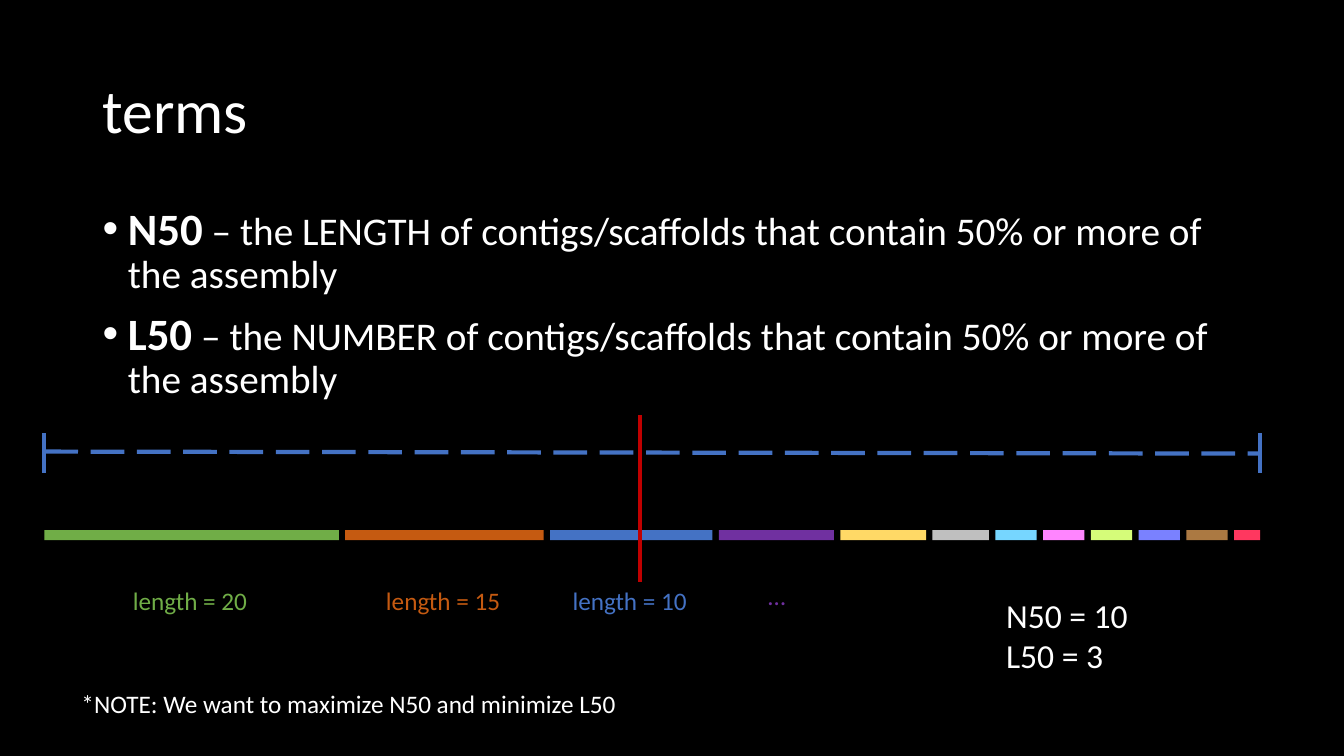
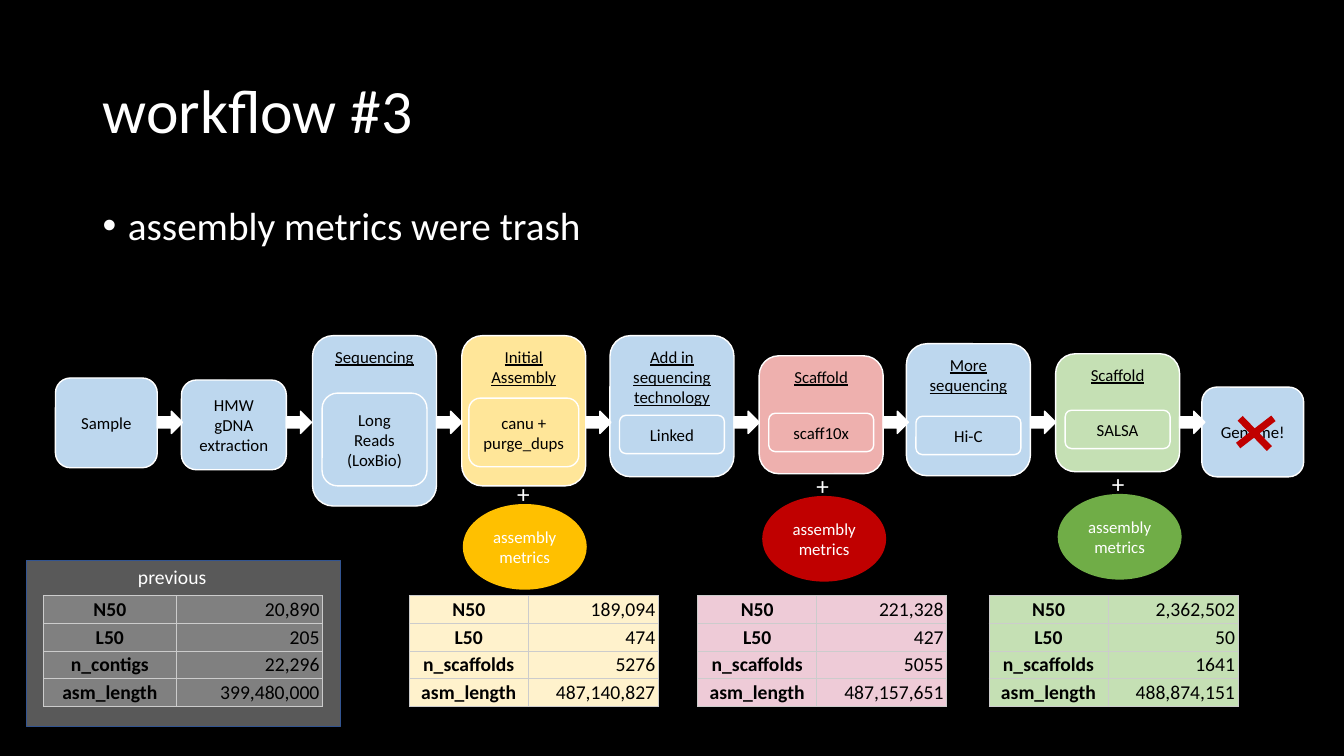
from lxml import etree
from pptx import Presentation
from pptx import util as u
from pptx.dml import color
from pptx.enum import dml, shapes, text
from pptx.oxml import ns

FONT = "Calibri"
BLACK, WHITE, BLUE, RED, GREEN = "000000", "FFFFFF", "4472C4", "C00000", "70AD47"
SKY, LEAF = "BDD7EE", "C5E0B4"
ALIGN, ANCHOR, KIND = text.PP_ALIGN, text.MSO_ANCHOR, shapes.MSO_SHAPE

# Slide 1: each body paragraph is a list of (text, size, bold)
TERMS = [
    [("N50", 32, True),
     (" – the LENGTH of contigs/scaffolds that contain 50% or more of the assembly", 28, False)],
    [("L50", 32, True),
     (" – the NUMBER of contigs/scaffolds that contain 50% or more of the assembly", 28, False)],
]
CONTIGS = [  # width, colour
    (2.92, GREEN), (1.97, "C55A11"), (1.61, BLUE), (1.14, "7030A0"),
    (0.85, "FFD966"), (0.56, "BFBFBF"), (0.41, "76D6FF"), (0.41, "FF85FF"),
    (0.41, "D5FC79"), (0.41, "7A81FF"), (0.41, "AB7942"), (0.26, "FF375F"),
]
SPAN_LEFT, SPAN_RIGHT = 0.44, 12.5
RULERS = [  # start, end, colour, dashed
    ((SPAN_LEFT, 4.48), (SPAN_RIGHT, 4.5), BLUE, True),
    ((SPAN_LEFT, 4.3), (SPAN_LEFT, 4.69), BLUE, False),
    ((SPAN_RIGHT, 4.3), (SPAN_RIGHT, 4.69), BLUE, False),
    ((6.35, 4.12), (6.35, 5.77), RED, False),
]
LABELS = [  # place, text, size, colour
    ((1.22, 5.76, 1.35, 0.4), "length = 20", 18, GREEN),
    ((3.73, 5.76, 1.35, 0.4), "length = 15", 18, "C55A11"),
    ((5.58, 5.76, 1.35, 0.4), "length = 10", 18, BLUE),
    ((7.52, 5.71, 0.38, 0.4), "…", 18, "7030A0"),
    ((9.88, 5.85, 1.42, 0.91), "N50 = 10\nL50 = 3", 24, WHITE),
    ((0.71, 6.78, 5.56, 0.4), "*NOTE: We want to maximize N50 and minimize L50", 18, WHITE),
]

# Slide 2: place, fill, text, inner box (text, top, width, height)
STEPS = [
    ((0.55, 3.75, 1.01, 0.89), SKY, "Sample", None),
    ((1.8, 3.77, 1.04, 0.89), SKY, "HMW gDNA extraction", None),
    ((3.1, 3.33, 1.23, 1.69), SKY, "Sequencing", ("Long Reads\n(LoxBio)", 3.9, 1.04, 0.92)),
    ((4.58, 3.33, 1.23, 1.49), "FFE699", "Initial Assembly",
     ("canu + purge_dups", 3.95, 1.09, 0.68)),
    ((6.05, 3.33, 1.23, 1.4), SKY, "Add in sequencing technology", ("Linked", 4.12, 1.04, 0.38)),
    ((7.53, 3.53, 1.23, 1.17), "EEB0AE", "Scaffold", ("scaff10x", 4.1, 1.04, 0.38)),
    ((8.99, 3.41, 1.23, 1.31), SKY, "More sequencing", ("Hi-C", 4.13, 1.04, 0.38)),
    ((10.47, 3.51, 1.23, 1.17), LEAF, "Scaffold", ("SALSA", 4.07, 1.04, 0.38)),
    ((11.92, 3.84, 1.01, 0.89), SKY, "Genome!", None),
]
CROSS = [((12.3, 4.15), (12.59, 4.45)), ((12.28, 4.42), (12.63, 4.15))]
METRICS = [(4.59, 5, "FFC000"), (7.56, 4.92, RED), (10.49, 4.9, GREEN)]  # left, top, fill
TABLES = [  # left, column widths, fill, third row name, values
    (0.43, (1.32, 1.45), "808080", "n_contigs", ("20,890", "205", "22,296", "399,480,000")),
    (4.06, (1.18, 1.29), "FFF2CC", "n_scaffolds", ("189,094", "474", "5276", "487,140,827")),
    (6.92, (1.18, 1.29), "EECBD7", "n_scaffolds", ("221,328", "427", "5055", "487,157,651")),
    (9.81, (1.18, 1.29), LEAF, "n_scaffolds", ("2,362,502", "50", "1641", "488,874,151")),
]


def rgb(value):
    return color.RGBColor.from_string(value)


def inches(values):
    return [u.Inches(value) for value in values]


def style(font, size, tint, bold=False, underline=False):
    font.name, font.size, font.bold = FONT, u.Pt(size), bold
    font.underline = underline
    font.color.rgb = rgb(tint)


def write(frame, words, size, tint, align=ALIGN.LEFT, bold=False, underline=False):
    frame.text = words
    for para in frame.paragraphs:
        para.alignment = align
        for span in para.runs:
            style(span.font, size, tint, bold, underline)


def add_label(page, place, words, size, tint):
    box = page.shapes.add_textbox(*inches(place))
    box.text_frame.word_wrap = False
    write(box.text_frame, words, size, tint)


def add_block(page, kind, place, fill, outline=None):
    block = page.shapes.add_shape(kind, *inches(place))
    block.shadow.inherit = False
    block.fill.solid()
    block.fill.fore_color.rgb = rgb(fill)
    if outline:
        block.line.color.rgb = rgb(outline)
        block.line.width = u.Pt(1)
    else:
        block.line.fill.background()
    return block


def add_text_block(page, kind, place, fill, words, tint=BLACK, outline=WHITE, heading=False):
    frame = add_block(page, kind, place, fill, outline).text_frame
    frame.word_wrap = True
    frame.vertical_anchor = ANCHOR.TOP if heading else ANCHOR.MIDDLE
    write(frame, words, 12, tint, ALIGN.CENTER, underline=heading)


def add_line(page, start, end, tint, width, dashed=False):
    line = page.shapes.add_connector(shapes.MSO_CONNECTOR.STRAIGHT, *inches(start + end))
    line.line.color.rgb = rgb(tint)
    line.line.width = u.Pt(width)
    if dashed:
        line.line.dash_style = dml.MSO_LINE.LONG_DASH
    etree.SubElement(line._element.spPr, ns.qn("a:effectLst"))


def add_page(deck, title, body):
    """Add a page with the shared title and bulleted body."""
    page = deck.slides.add_slide(deck.slide_layouts[6])
    frame = page.shapes.add_textbox(*inches((0.92, 0.4, 11.5, 1.45))).text_frame
    frame.word_wrap = True
    frame.vertical_anchor = ANCHOR.MIDDLE
    write(frame, title, 44, WHITE)
    frame.paragraphs[0].line_spacing = 0.9

    frame = page.shapes.add_textbox(*inches((0.92, 2, 11.5, 4.76))).text_frame
    frame.word_wrap = True
    for index, parts in enumerate(body):
        para = frame.add_paragraph() if index else frame.paragraphs[0]
        para.line_spacing = 0.9
        para.space_before = u.Pt(10 if index else 0)
        props = para._p.get_or_add_pPr()
        props.set("marL", str(u.Inches(0.25)))
        props.set("indent", str(-u.Inches(0.25)))
        etree.SubElement(props, ns.qn("a:buFont"), typeface="Arial")
        etree.SubElement(props, ns.qn("a:buChar"), char="•")
        for words, size, bold in parts:
            span = para.add_run()
            span.text = words
            style(span.font, size, WHITE, bold)
    return page


def add_borders(cell):
    props = cell._tc.get_or_add_tcPr()
    for index, side in enumerate(("lnL", "lnR", "lnT", "lnB")):
        edge = etree.Element(ns.qn("a:" + side), w=str(u.Pt(0.75)))
        fill = etree.SubElement(edge, ns.qn("a:solidFill"))
        etree.SubElement(fill, ns.qn("a:srgbClr"), val="CCCCCC")
        props.insert(index, edge)


def add_metrics_table(page, left, widths, fill, third_name, values):
    names = ("N50", "L50", third_name, "asm_length")
    place = inches((left, 5.91, sum(widths), 1.1))
    table = page.shapes.add_table(len(names), 2, *place).table
    table.first_row = table.horz_banding = False
    for column, width in zip(table.columns, widths):
        column.width = u.Inches(width)
    for row, pair in enumerate(zip(names, values)):
        for col, words in enumerate(pair):
            cell = table.cell(row, col)
            cell.fill.solid()
            cell.fill.fore_color.rgb = rgb(fill)
            cell.margin_left = cell.margin_right = u.Inches(0.03)
            cell.margin_top = cell.margin_bottom = u.Inches(0.02)
            cell.vertical_anchor = ANCHOR.BOTTOM
            write(cell.text_frame, words, 14, BLACK,
                  ALIGN.RIGHT if col else ALIGN.CENTER, bold=col == 0)
            add_borders(cell)


def build_terms(deck):
    page = add_page(deck, "terms", TERMS)
    # Contig bars with equal gaps across the span
    used = sum(width for width, _ in CONTIGS)
    gap = (SPAN_RIGHT - SPAN_LEFT - used) / (len(CONTIGS) - 1)
    left = SPAN_LEFT
    for width, fill in CONTIGS:
        add_block(page, KIND.RECTANGLE, (left, 5.26, width, 0.1), fill)
        left += width + gap
    # Assembly length and its midpoint
    for start, end, tint, dashed in RULERS:
        add_line(page, start, end, tint, 3, dashed)
    for label in LABELS:
        add_label(page, *label)


def build_workflow(deck):
    page = add_page(deck, "workflow #3", [[("assembly metrics were trash", 28, False)]])
    # Steps, with an inner box centred in the larger ones
    for place, fill, words, inner in STEPS:
        add_text_block(page, KIND.ROUNDED_RECTANGLE, place, fill, words, heading=bool(inner))
        if inner:
            inner_words, top, width, height = inner
            left = place[0] + (place[2] - width) / 2
            add_text_block(page, KIND.ROUNDED_RECTANGLE, (left, top, width, height),
                           fill, inner_words)
    # An arrow after every step but the last
    for (left, _, width, _), *_ in STEPS[:-1]:
        add_block(page, KIND.RIGHT_ARROW, (left + width, 4.08, 0.25, 0.22), WHITE, WHITE)
    for start, end in CROSS:
        add_line(page, start, end, RED, 5)
    # Metrics below the assembly steps
    for left, top, fill in METRICS:
        add_text_block(page, KIND.OVAL, (left, top, 1.23, 0.85), fill,
                       "assembly metrics", WHITE, outline=None)
        add_label(page, (left + 0.44, top - 0.3, 0.33, 0.4), "+", 18, WHITE)
    # Result tables, the first on a grey panel
    add_block(page, KIND.RECTANGLE, (0.26, 5.56, 3.12, 1.65), "595959", "325491")
    add_label(page, (1.27, 5.56, 0.89, 0.34), "previous", 14, WHITE)
    for table in TABLES:
        add_metrics_table(page, *table)


def main():
    deck = Presentation()
    deck.slide_width, deck.slide_height = inches((13.33, 7.5))
    backdrop = deck.slide_master.background.fill
    backdrop.solid()
    backdrop.fore_color.rgb = rgb(BLACK)
    build_terms(deck)
    build_workflow(deck)
    deck.save("out.pptx")


if __name__ == "__main__":
    main()
